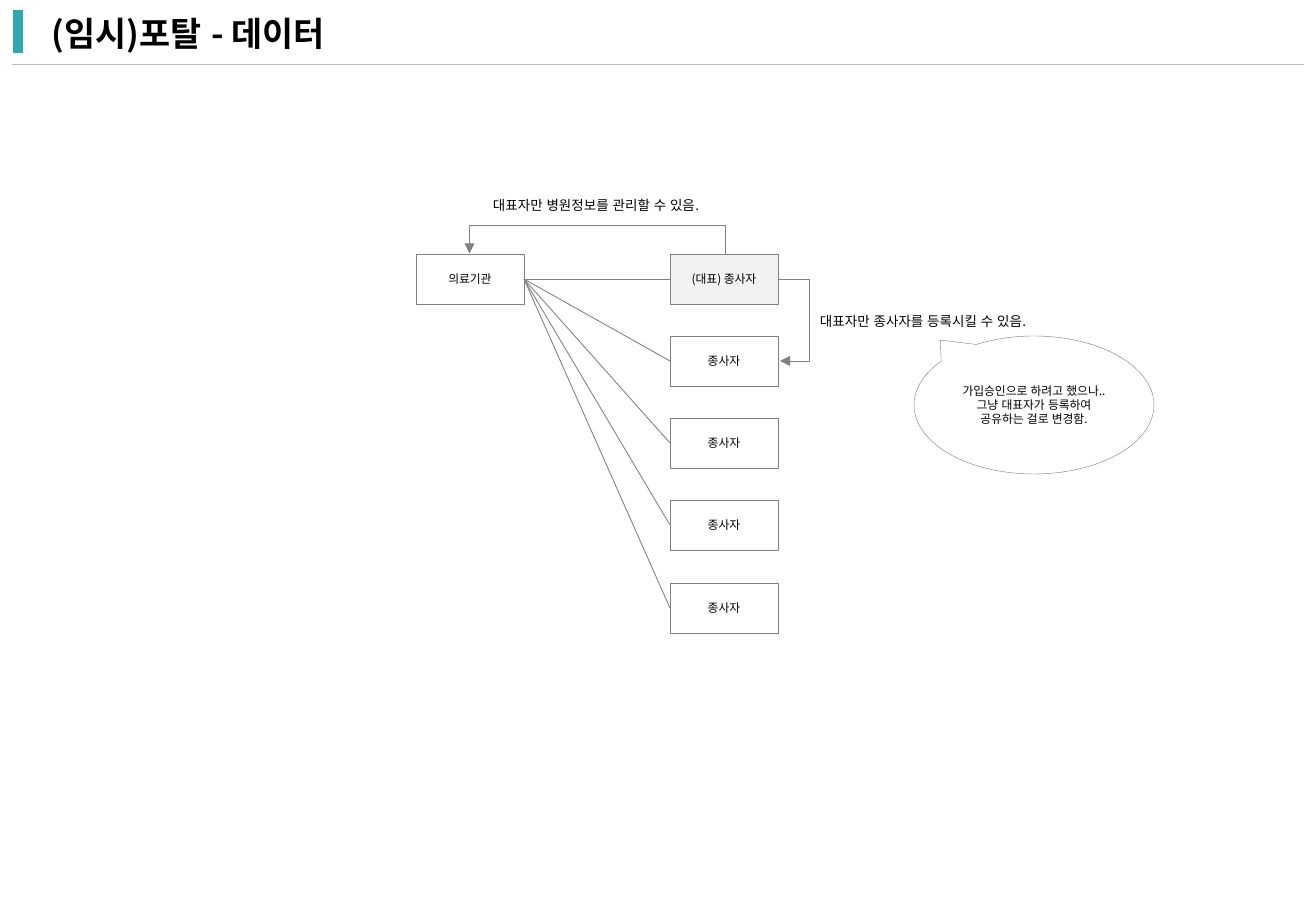
import dataclasses

import pptx
import pptx.dml.color
import pptx.enum.lang
import pptx.enum.shapes
import pptx.enum.text
import pptx.util
from lxml import etree
from pptx.oxml.ns import qn

SCALE = 7526  # EMU in one px
SHAPE = pptx.enum.shapes.MSO_SHAPE
CONNECTOR = pptx.enum.shapes.MSO_CONNECTOR
ALIGN = pptx.enum.text.PP_ALIGN
ANCHOR = pptx.enum.text.MSO_ANCHOR


@dataclasses.dataclass(frozen=True)
class Theme:
    font: str = "Noto Sans CJK KR"
    ink: str = "000000"
    white: str = "FFFFFF"
    highlight: str = "F2F2F2"
    outline: str = "808080"
    accent: str = "2CA8B2"
    rule: str = "BFBFBF"
    title: int = 20
    note: int = 8
    label: int = 7


def px(length):
    return pptx.util.Emu(length * SCALE)


def rgb(color):
    return pptx.dml.color.RGBColor.from_string(color)


class Canvas:
    def __init__(self, slide, theme):
        self.slide = slide
        self.theme = theme

    def fill_text(self, frame, text, size, bold=False, align=ALIGN.LEFT,
                  anchor=ANCHOR.TOP, inset=0, wrap=True, spacing=1.0):
        """Fill a text frame, one paragraph for each line of text."""
        frame.word_wrap = wrap
        frame.vertical_anchor = anchor
        frame.margin_left = frame.margin_right = px(inset)
        frame.margin_top = frame.margin_bottom = px(min(inset, 5))
        for index, line in enumerate(text.split("\n")):
            para = frame.add_paragraph() if index else frame.paragraphs[0]
            para.alignment = align
            para.line_spacing = spacing
            span = para.add_run()
            span.text = line
            span.font.size = pptx.util.Pt(size)
            span.font.bold = bold
            span.font.color.rgb = rgb(self.theme.ink)
            span.font.name = self.theme.font
            span.font.language_id = pptx.enum.lang.MSO_LANGUAGE_ID.KOREAN
            east_asian = etree.SubElement(span.font._element, qn("a:ea"))
            east_asian.set("typeface", self.theme.font)

    def text(self, left, top, width, height, text, size, **style):
        box = self.slide.shapes.add_textbox(px(left), px(top), px(width), px(height))
        self.fill_text(box.text_frame, text, size, **style)

    def shape(self, kind, left, top, width, height, text, fill):
        shape = self.slide.shapes.add_shape(kind, px(left), px(top), px(width), px(height))
        shape.shadow.inherit = False
        shape.fill.solid()
        shape.fill.fore_color.rgb = rgb(fill)
        shape.line.color.rgb = rgb(self.theme.outline)
        shape.line.width = pptx.util.Pt(0.25)
        self.fill_text(shape.text_frame, text, self.theme.label,
                       align=ALIGN.CENTER, anchor=ANCHOR.MIDDLE, inset=5)
        return shape

    def line(self, start, end, color, width=0.5, kind=CONNECTOR.STRAIGHT):
        line = self.slide.shapes.add_connector(kind, *map(px, start + end))
        line.line.color.rgb = rgb(color)
        line.line.width = pptx.util.Pt(width)
        etree.SubElement(line._element.spPr, qn("a:effectLst"))
        return line

    def link(self, source, target):
        """Join the right side of one box to the left side of another."""
        line = self.line((0, 0), (0, 0), self.theme.outline)
        line.begin_connect(source, 3)
        line.end_connect(target, 1)

    def elbow_arrow(self, start, end, reach, turn=0):
        """Draw an arrow bent reach px out of its box, turned by whole degrees."""
        arrow = self.line(start, end, self.theme.outline, kind=CONNECTOR.ELBOW)
        properties = arrow._element.spPr
        properties.find(qn("a:xfrm")).set("rot", str(turn * 60000))
        bend = etree.SubElement(properties.find(qn("a:prstGeom")).find(qn("a:avLst")), qn("a:gd"))
        bend.set("name", "adj1")
        bend.set("fmla", f"val {reach * 100000 // abs(end[0] - start[0])}")
        outline = properties.find(qn("a:ln"))
        etree.SubElement(outline, qn("a:tailEnd")).set("type", "triangle")


def main():
    deck = pptx.Presentation()
    deck.slide_width, deck.slide_height = px(1316), px(911)
    theme = Theme()
    canvas = Canvas(deck.slides.add_slide(deck.slide_layouts[6]), theme)

    canvas.line((18, 10), (18, 53), theme.accent, width=6)
    canvas.line((12, 64), (1304, 64), theme.rule)
    canvas.text(40, 15, 1135, 42, "(임시)포탈 - 데이터", theme.title, bold=True,
                anchor=ANCHOR.MIDDLE, inset=12, spacing=0.9)

    first_row, box_width, box_height = 254, 108, 50
    institution = canvas.shape(SHAPE.RECTANGLE, 416, first_row, box_width, box_height,
                               "의료기관", theme.white)
    workers = []
    for row, name in enumerate(["(대표) 종사자"] + ["종사자"] * 4):
        top = first_row + row * 329 // 4
        fill = theme.white if row else theme.highlight
        workers.append(canvas.shape(SHAPE.RECTANGLE, 670, top, box_width, box_height, name, fill))
    for worker in workers:
        canvas.link(institution, worker)

    canvas.elbow_arrow((597, 382), (598, 126), reach=29, turn=270)
    canvas.text(493, 197, 227, 16, "대표자만 병원정보를 관리할 수 있음.", theme.note, wrap=False)
    canvas.elbow_arrow((779, 279), (780, 361), reach=30)
    canvas.text(820, 313, 227, 16, "대표자만 종사자를 등록시킬 수 있음.", theme.note, wrap=False)

    callout = canvas.shape(SHAPE.OVAL_CALLOUT, 914, 336, 240, 138,
                           "가입승인으로 하려고 했으나..\n그냥 대표자가 등록하여\n공유하는 걸로 변경함.",
                           theme.white)
    callout.adjustments[0], callout.adjustments[1] = -0.39, -0.47

    deck.save("out.pptx")


if __name__ == "__main__":
    main()
